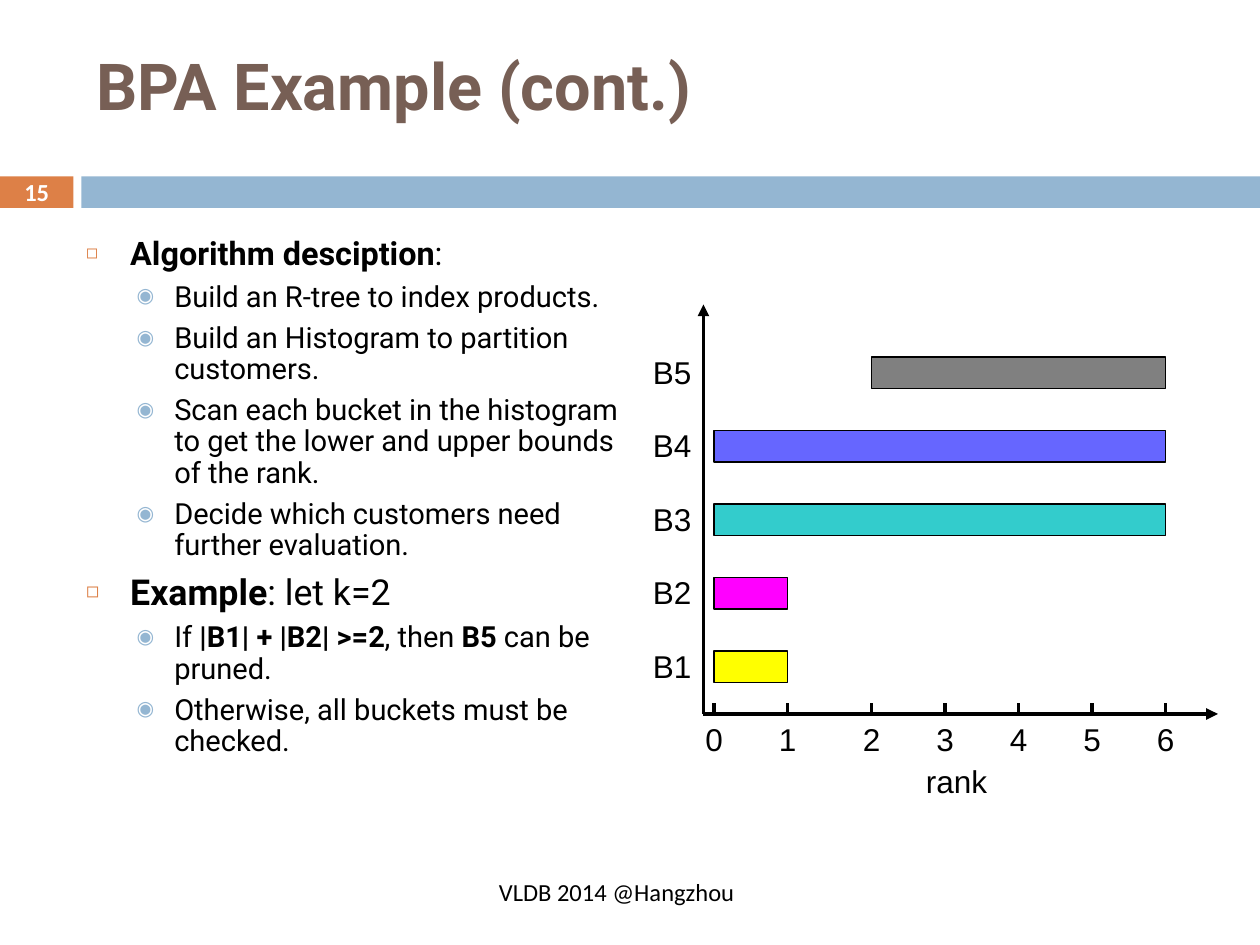
import pptx
import pptx.dml.color
import pptx.enum.shapes
import pptx.enum.text
import pptx.oxml.ns
import pptx.util
from lxml import etree

Pt = pptx.util.Pt
RGBColor = pptx.dml.color.RGBColor
Align = pptx.enum.text.PP_ALIGN
Anchor = pptx.enum.text.MSO_ANCHOR
AutoSize = pptx.enum.text.MSO_AUTO_SIZE

BLACK = RGBColor(0x00, 0x00, 0x00)
WHITE = RGBColor(0xFF, 0xFF, 0xFF)
BROWN = RGBColor(0x77, 0x5F, 0x55)
ORANGE = RGBColor(0xDD, 0x80, 0x47)
LIGHT_BLUE = RGBColor(0x94, 0xB6, 0xD2)
YELLOW = RGBColor(0xFF, 0xFF, 0x00)
MAGENTA = RGBColor(0xFF, 0x00, 0xFF)
TEAL = RGBColor(0x33, 0xCC, 0xCC)
VIOLET = RGBColor(0x66, 0x66, 0xFF)
GRAY = RGBColor(0x80, 0x80, 0x80)

# Per level: left margin, first-line indent, space before, character, colour, size in percent
BULLETS = [
    (25.2, -25.2, 7, "◻", ORANGE, 60),
    (50.4, -21.6, 5.5, "◉", LIGHT_BLUE, 70),
]

# Level, font size, runs as (text, bold)
BODY = [
    (0, 18.5, [("Algorithm desciption", True), (":", False)]),
    (1, 16.6, [("Build an R-tree to index products.", False)]),
    (1, 16.6, [("Build an Histogram to partition customers.", False)]),
    (1, 16.6, [("Scan each bucket in the histogram to get the lower and upper "
                "bounds of the rank.", False)]),
    (1, 16.6, [("Decide which customers need further evaluation.", False)]),
    (0, 20.4, [("Example", True), (": let k=2", False)]),
    (1, 16.6, [("If", False), (" |B1| + |B2| >=2", True), (", then ", False),
               ("B5 ", True), ("can be pruned.", False)]),
    (1, 16.6, [("Otherwise, all buckets must be checked.", False)]),
]

AXIS_X, AXIS_Y = 402, 408
TICK_X = [408, 450, 498, 540, 582, 624, 666]
FIRST_BAR_TOP, BAR_STEP, BAR_HEIGHT = 372, 42, 18
# Name, lowest rank, highest rank, colour
BUCKETS = [
    ("B1", 0, 1, YELLOW),
    ("B2", 0, 1, MAGENTA),
    ("B3", 0, 6, TEAL),
    ("B4", 0, 6, VIOLET),
    ("B5", 2, 6, GRAY),
]


def place(shape, left, top, width, height):
    shape.left, shape.top = Pt(left), Pt(top)
    shape.width, shape.height = Pt(width), Pt(height)


def format_run(run, size, font, color, bold=False):
    run.font.size = Pt(size)
    run.font.name = font
    run.font.color.rgb = color
    run.font.bold = bold


def add_rectangle(slide, left, top, width, height, fill, outline=None):
    shape = slide.shapes.add_shape(
        pptx.enum.shapes.MSO_SHAPE.RECTANGLE, Pt(left), Pt(top), Pt(width), Pt(height))
    shape.shadow.inherit = False
    shape.fill.solid()
    shape.fill.fore_color.rgb = fill
    if outline is None:
        shape.line.fill.background()
    else:
        shape.line.color.rgb = outline
        shape.line.width = Pt(0.75)
    return shape


def add_label(slide, text, left, top, width, height=29, size=18, font="Arial"):
    """Add a one-line text box that grows with its text and does not wrap."""
    box = slide.shapes.add_textbox(Pt(left), Pt(top), Pt(width), Pt(height))
    box.text_frame.text = text
    box.text_frame.word_wrap = False
    box.text_frame.auto_size = AutoSize.SHAPE_TO_FIT_TEXT
    format_run(box.text_frame.paragraphs[0].runs[0], size, font, BLACK)


def add_line(slide, x1, y1, x2, y2, arrow=False):
    connector = slide.shapes.add_connector(
        pptx.enum.shapes.MSO_CONNECTOR.STRAIGHT, Pt(x1), Pt(y1), Pt(x2), Pt(y2))
    connector.line.color.rgb = BLACK
    connector.line.width = Pt(2.25)
    if arrow:
        etree.SubElement(connector.line._get_or_add_ln(),
                         pptx.oxml.ns.qn("a:tailEnd"), type="triangle")
    etree.SubElement(connector._element.spPr, pptx.oxml.ns.qn("a:effectLst"))


def set_bullet(paragraph, level):
    margin, indent, space_before, character, color, percent = BULLETS[level]
    paragraph.level = level
    paragraph.line_spacing = 0.9
    paragraph.space_before = Pt(space_before)
    properties = paragraph._p.get_or_add_pPr()
    properties.set("marL", str(Pt(margin)))
    properties.set("indent", str(Pt(indent)))
    qn = pptx.oxml.ns.qn
    bullet_color = etree.SubElement(properties, qn("a:buClr"))
    etree.SubElement(bullet_color, qn("a:srgbClr"), val=str(color))
    etree.SubElement(properties, qn("a:buSzPct"), val=str(percent * 1000))
    etree.SubElement(properties, qn("a:buChar"), char=character)


def fill_title(title):
    place(title, 48, 24, 642, 54)
    frame = title.text_frame
    frame.text = "BPA Example (cont.)"
    frame.auto_size = AutoSize.NONE
    frame.vertical_anchor = Anchor.MIDDLE
    paragraph = frame.paragraphs[0]
    paragraph.alignment = Align.LEFT
    paragraph.line_spacing = 0.9
    format_run(paragraph.runs[0], 37, "Roboto", BROWN, bold=True)


def fill_body(body):
    place(body, 42, 132, 330, 356)
    frame = body.text_frame
    frame.auto_size = AutoSize.NONE
    for index, (level, size, runs) in enumerate(BODY):
        paragraph = frame.add_paragraph() if index else frame.paragraphs[0]
        set_bullet(paragraph, level)
        for text, bold in runs:
            run = paragraph.add_run()
            run.text = text
            format_run(run, size, "Roboto", BLACK, bold)


def add_page_band(slide):
    number = add_rectangle(slide, 0, 100.8, 42, 18, ORANGE)
    add_rectangle(slide, 46.5, 100.8, 673.5, 18, LIGHT_BLUE)
    frame = number.text_frame
    frame.text = "15"
    frame.vertical_anchor = Anchor.MIDDLE
    frame.paragraphs[0].alignment = Align.CENTER
    format_run(frame.paragraphs[0].runs[0], 14, "Calibri", WHITE, bold=True)


def add_rank_diagram(slide):
    add_line(slide, AXIS_X, AXIS_Y, 696, AXIS_Y, arrow=True)
    add_line(slide, AXIS_X, AXIS_Y, AXIS_X, 174, arrow=True)
    for rank, x in enumerate(TICK_X):
        add_line(slide, x, AXIS_Y - 6, x, AXIS_Y)
        add_label(slide, str(rank), x - 12, AXIS_Y, 24.5)
    add_label(slide, "rank", 522, 432, 50)
    for row, (name, low, high, color) in enumerate(BUCKETS):
        top = FIRST_BAR_TOP - row * BAR_STEP
        add_label(slide, name, 366, top - 6, 37)
        add_rectangle(slide, TICK_X[low], top, TICK_X[high] - TICK_X[low],
                      BAR_HEIGHT, color, BLACK)


def main():
    presentation = pptx.Presentation()
    presentation.slide_width, presentation.slide_height = Pt(720), Pt(540)
    slide = presentation.slides.add_slide(presentation.slide_layouts[1])
    add_page_band(slide)
    add_label(slide, "VLDB 2014 @Hangzhou", 278, 497.5, 168.5, 24.5, 14, "Calibri")
    fill_title(slide.shapes.title)
    fill_body(slide.placeholders[1])
    add_rank_diagram(slide)
    presentation.save("out.pptx")


if __name__ == "__main__":
    main()
